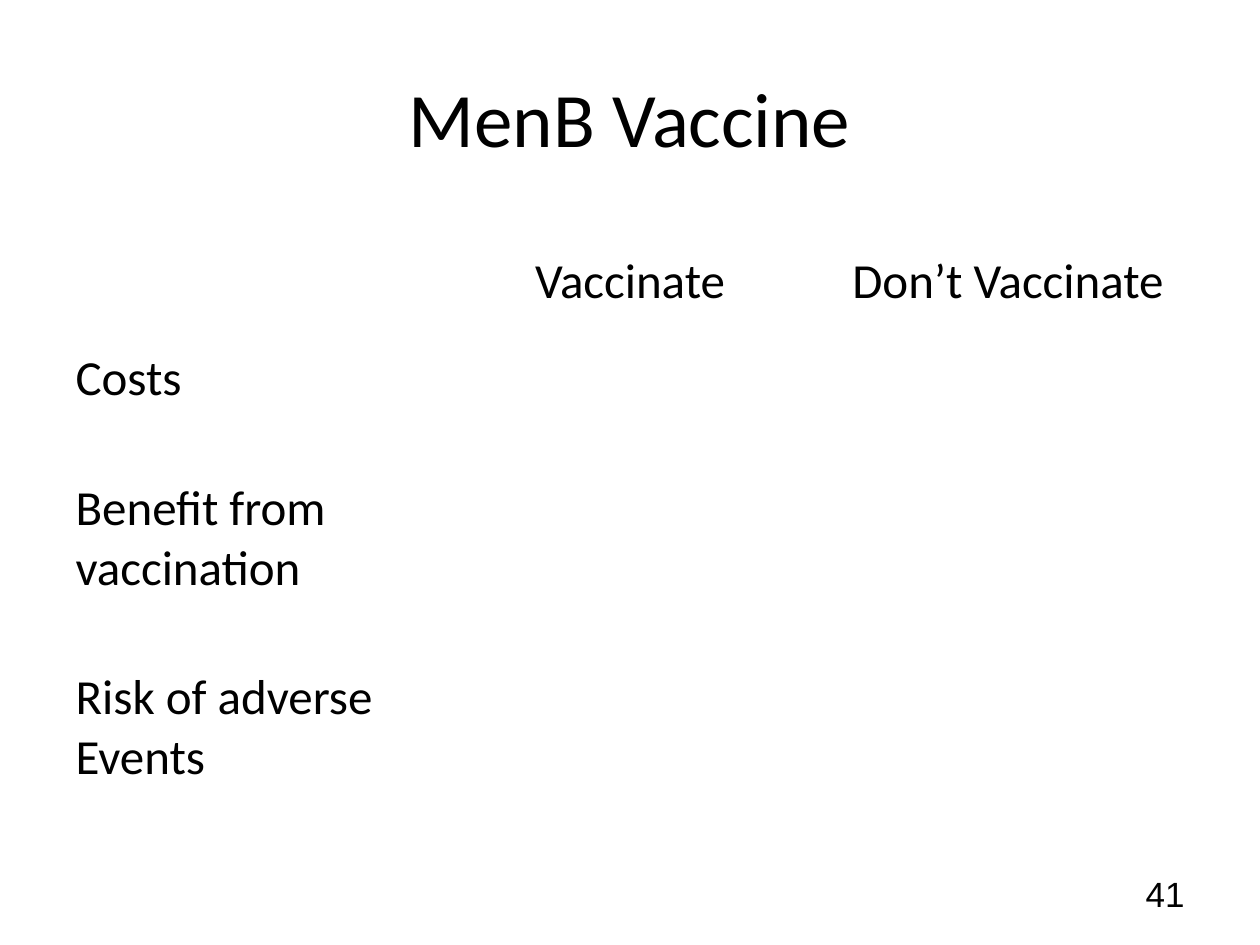
from dataclasses import dataclass

from pptx import Presentation
from pptx.dml.color import RGBColor
from pptx.enum.text import MSO_ANCHOR as Anchor, PP_ALIGN as Align
from pptx.slide import Slide
from pptx.table import Table
from pptx.text.text import TextFrame
from pptx.util import Cm, Pt

COLORS = {"text": "000000"}


@dataclass
class TextStyle:
    """Font and alignment of one kind of text."""

    size: int
    align: Align
    font: str = "Calibri"


@dataclass
class Label:
    """A text box with its place in centimetres."""

    text: str
    left: float
    top: float
    width: float
    height: float
    style: TextStyle


HEADING = TextStyle(28, Align.CENTER)
ROW_NAME = TextStyle(28, Align.LEFT)
LABELS = [
    Label("MenB Vaccine", 1.27, 0.76, 22.86, 3.18, TextStyle(44, Align.CENTER)),
    Label("41", 18.21, 17.35, 5.92, 1.32, TextStyle(20, Align.RIGHT, "Arial")),
]
COLUMN_NAMES = ["", "Vaccinate", "Don’t Vaccinate"]
ROW_NAMES = ["Costs", "Benefit from vaccination", "Risk of adverse Events"]
ROW_HEIGHTS = [2.44, 2.62, 3.81, 3.81]
COLUMN_WIDTH = 7.62


def write_text(frame: TextFrame, text: str, style: TextStyle) -> None:
    """Write one styled run into the first paragraph of a frame."""
    paragraph = frame.paragraphs[0]
    paragraph.alignment = style.align
    run = paragraph.add_run()
    run.text = text
    run.font.name = style.font
    run.font.size = Pt(style.size)
    run.font.color.rgb = RGBColor.from_string(COLORS["text"])


def add_label(slide: Slide, label: Label) -> None:
    """Add a vertically centred text box."""
    shape = slide.shapes.add_textbox(
        Cm(label.left), Cm(label.top), Cm(label.width), Cm(label.height)
    )
    frame = shape.text_frame
    frame.word_wrap = True
    frame.vertical_anchor = Anchor.MIDDLE
    write_text(frame, label.text, label.style)


def write_cell(
    table: Table, row: int, column: int, text: str, style: TextStyle, anchor: Anchor
) -> None:
    """Write the text of one table cell."""
    cell = table.cell(row, column)
    cell.vertical_anchor = anchor
    cell.margin_top = Cm(0.15)
    write_text(cell.text_frame, text, style)


def add_comparison(slide: Slide) -> None:
    """Add the unfilled table that compares the two choices."""
    row_count, column_count = len(ROW_HEIGHTS), len(COLUMN_NAMES)
    table = slide.shapes.add_table(
        row_count, column_count, Cm(1.27), Cm(4.45),
        Cm(COLUMN_WIDTH * column_count), Cm(sum(ROW_HEIGHTS)),
    ).table
    table.first_row = False
    table.horz_banding = False
    for column in table.columns:
        column.width = Cm(COLUMN_WIDTH)
    for row, height in zip(table.rows, ROW_HEIGHTS):
        row.height = Cm(height)
    for cell in table.iter_cells():
        cell.fill.background()
    for index, name in enumerate(COLUMN_NAMES):
        if name:
            write_cell(table, 0, index, name, HEADING, Anchor.MIDDLE)
    for index, name in enumerate(ROW_NAMES, start=1):
        write_cell(table, index, 0, name, ROW_NAME, Anchor.TOP)


def main() -> None:
    """Build and save the vaccine comparison slide."""
    presentation = Presentation()
    presentation.slide_width = Cm(25.4)
    presentation.slide_height = Cm(19.05)
    slide = presentation.slides.add_slide(presentation.slide_layouts[6])
    for label in LABELS:
        add_label(slide, label)
    add_comparison(slide)
    presentation.save("out.pptx")


if __name__ == "__main__":
    main()
